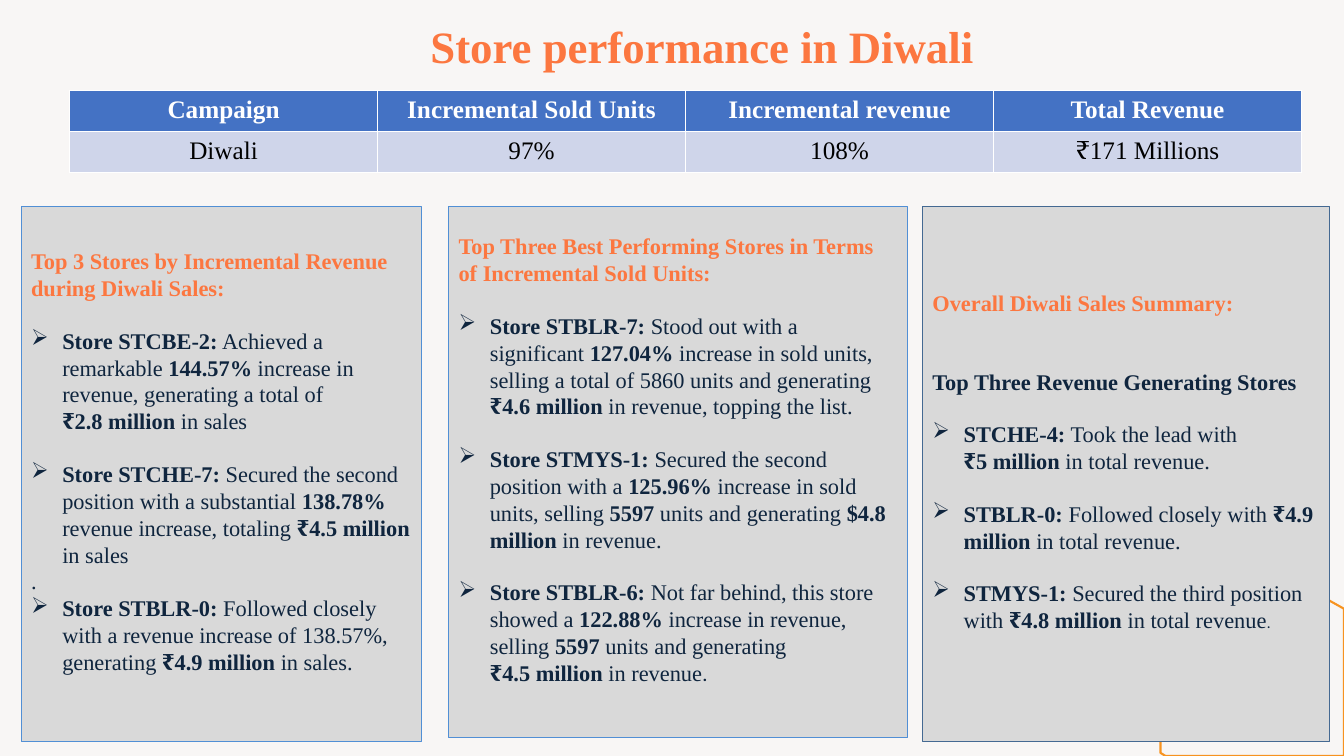
import pptx
import pptx.util
import pptx.dml.color
import pptx.enum.shapes
import pptx.enum.text
from lxml import etree
from pptx.util import Inches, Pt

COLORS = {
    "background": "F8F6F5",
    "orange": "FC7740",
    "outline": "F79320",
    "navy": "0F253E",
    "panel": "D9D9D9",
    "panel_line": "518FD5",
    "summary_line": "446992",
    "header": "4472C4",
    "row": "CFD5EA",
    "white": "FFFFFF",
    "black": "000000",
}
FONT = "Times New Roman"
LINE = 18.4  # height of one 16 pt line, in points

CAMPAIGN = [
    ["Campaign", "Incremental Sold Units", "Incremental revenue", "Total Revenue"],
    ["Diwali", "97%", "108%", "₹171 Millions"],
]

# Each entry: kind, blank lines above, text with **bold** parts
REVENUE_STORES = [
    ("heading", 0, "**Top 3 Stores by Incremental Revenue during Diwali Sales:**"),
    ("bullet", 1, "**Store STCBE-2:** Achieved a remarkable **144.57%** increase in "
                  "revenue, generating a total of\n**₹2.8 million** in sales"),
    ("bullet", 1, "**Store STCHE-7:** Secured the second position with a substantial "
                  "**138.78%** revenue increase, totaling **₹4.5 million** in sales"),
    ("plain", 0, "."),
    ("bullet", 0, "**Store STBLR-0:** Followed closely with a revenue increase of "
                  "138.57%, generating **₹4.9 million** in sales."),
]
UNIT_STORES = [
    ("heading", 0, "**Top Three Best Performing Stores in Terms of Incremental Sold Units:**"),
    ("bullet", 1, "**Store STBLR-7:** Stood out with a significant **127.04%** increase in "
                  "sold units, selling a total of 5860 units and generating "
                  "**₹4.6 million** in revenue, topping the list."),
    ("bullet", 1, "**Store STMYS-1:** Secured the second position with a **125.96%** increase "
                  "in sold units, selling **5597** units and generating "
                  "**$4.8 million** in revenue."),
    ("bullet", 1, "**Store STBLR-6:** Not far behind, this store showed a **122.88%** increase "
                  "in revenue, selling **5597** units and generating\n"
                  "**₹4.5 million** in revenue"),
]
SUMMARY = [
    ("heading", 0, "**Overall Diwali Sales Summary:**"),
    ("plain", 2, "**Top Three Revenue Generating Stores**"),
    ("bullet", 1, "**STCHE-4:** Took the lead with\n**₹5 million** in total revenue."),
    ("bullet", 1, "**STBLR-0:** Followed closely with **₹4.9 million** in total revenue."),
    ("bullet", 1, "**STMYS-1:** Secured the third position with **₹4.8 million** "
                  "in total revenue"),
]


def color(name):
    return pptx.dml.color.RGBColor.from_string(COLORS[name])


def add_span(para, text, size, tone, bold=False, font=FONT):
    span = para.add_run()
    span.text = text
    span.font.name = font
    span.font.size = Pt(size)
    span.font.bold = bold
    span.font.color.rgb = color(tone)


def add_marked_text(para, text, tone):
    """Add 16 pt text, with ** around bold parts and a newline for a line break."""
    for index, part in enumerate(text.split("**")):
        for number, piece in enumerate(part.split("\n")):
            if number:
                para.add_line_break()
            if piece:
                add_span(para, piece, 16, tone, bold=index % 2 == 1)


def add_bullet(para):
    properties = para._p.get_or_add_pPr()
    properties.set("marL", str(Inches(0.31)))
    properties.set("indent", str(-Inches(0.31)))
    bullet = etree.SubElement(properties, pptx.oxml.ns.qn("a:buChar"))
    bullet.set("char", "➢")


def add_corner_outline(page):
    points = [(12.6, 5.63), (13.33, 6.04), (13.33, 7.5),
              (11.56, 7.5), (11.51, 7.47), (11.51, 6.25)]
    corners = [(Inches(x), Inches(y)) for x, y in points]
    builder = page.shapes.build_freeform(*corners[0])
    builder.add_line_segments(corners[1:], close=True)
    outline = builder.convert_to_shape()
    outline.shadow.inherit = False
    outline.fill.background()
    outline.line.color.rgb = color("outline")
    outline.line.width = Pt(1.5)


def add_title(page, text):
    title = page.shapes.title
    title.left, title.top = Inches(0.52), Inches(0)
    title.width, title.height = Inches(11.91), Inches(0.67)
    frame = title.text_frame
    frame.auto_size = pptx.enum.text.MSO_AUTO_SIZE.NONE
    frame.vertical_anchor = pptx.enum.text.MSO_ANCHOR.TOP
    frame.margin_left, frame.margin_top = Inches(1.08), Inches(0.25)
    para = frame.paragraphs[0]
    para.alignment = pptx.enum.text.PP_ALIGN.CENTER
    para.line_spacing = 0.9
    add_span(para, text, 32, "orange", bold=True)


def add_campaign_table(page, rows):
    table = page.shapes.add_table(len(rows), len(rows[0]), Inches(0.69), Inches(0.9),
                                  Inches(12.22), Inches(0.81)).table
    for r, row in enumerate(rows):
        for c, text in enumerate(row):
            cell = table.cell(r, c)
            cell.fill.solid()
            cell.fill.fore_color.rgb = color("row" if r else "header")
            para = cell.text_frame.paragraphs[0]
            para.alignment = pptx.enum.text.PP_ALIGN.CENTER
            add_span(para, text, 18, "black" if r else "white", bold=r == 0)


def add_panel(page, left, width, height, line, entries, stop_size=None):
    """Draw a grey panel; stop_size adds a closing full stop in Roboto."""
    box = page.shapes.add_shape(pptx.enum.shapes.MSO_SHAPE.RECTANGLE, Inches(left),
                                Inches(2.05), Inches(width), Inches(height))
    box.shadow.inherit = False
    box.fill.solid()
    box.fill.fore_color.rgb = color("panel")
    box.line.color.rgb = color(line)
    box.line.width = Pt(0.75)
    frame = box.text_frame
    frame.word_wrap = True
    frame.vertical_anchor = pptx.enum.text.MSO_ANCHOR.MIDDLE
    frame.margin_bottom = Inches(0.31)
    for index, (kind, gap, text) in enumerate(entries):
        para = frame.add_paragraph() if index else frame.paragraphs[0]
        para.alignment = pptx.enum.text.PP_ALIGN.LEFT
        if gap:
            para.space_before = Pt(gap * LINE)
        if kind == "bullet":
            add_bullet(para)
            para.font.size = Pt(16)
            para.font.color.rgb = color("navy")
        add_marked_text(para, text, "orange" if kind == "heading" else "navy")
    if stop_size:
        add_span(para, ".", stop_size, "navy", font="Roboto")


def main():
    deck = pptx.Presentation()
    deck.slide_width, deck.slide_height = Inches(13.33), Inches(7.5)
    page = deck.slides.add_slide(deck.slide_layouts[5])
    page.background.fill.solid()
    page.background.fill.fore_color.rgb = color("background")

    # Heading and key figures
    add_corner_outline(page)
    add_title(page, "Store performance in Diwali")
    add_campaign_table(page, CAMPAIGN)

    # Store panels
    add_panel(page, 4.45, 4.55, 5.27, "panel_line", UNIT_STORES, stop_size=16)
    add_panel(page, 0.21, 3.97, 5.31, "panel_line", REVENUE_STORES)
    add_panel(page, 9.15, 4.04, 5.31, "summary_line", SUMMARY, stop_size=12)

    deck.save("out.pptx")


if __name__ == "__main__":
    main()
